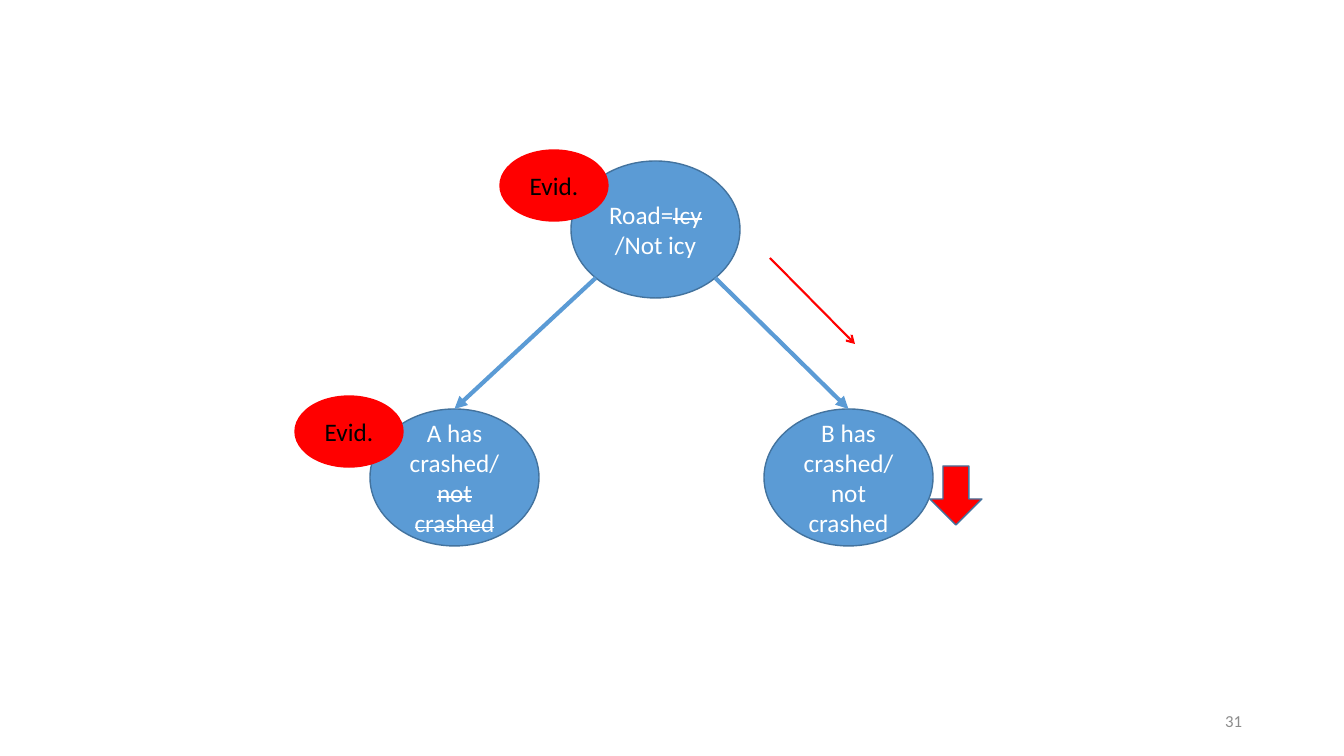
from math import cos, pi

from lxml.etree import SubElement
from pptx import Presentation
from pptx.dml.color import RGBColor
from pptx.enum.shapes import MSO_CONNECTOR, MSO_SHAPE
from pptx.enum.text import MSO_ANCHOR, PP_ALIGN
from pptx.oxml.ns import qn
from pptx.util import Pt

BLUE = RGBColor(0x5B, 0x9B, 0xD5)
DARK_BLUE = RGBColor(0x43, 0x73, 0x9E)
RED = RGBColor(0xFF, 0x00, 0x00)
WHITE = RGBColor(0xFF, 0xFF, 0xFF)
BLACK = RGBColor(0x00, 0x00, 0x00)
GRAY = RGBColor(0x8C, 0x8C, 0x8C)

# Lengths in px; text runs are (text, struck through)
SLIDE_SIZE = (1344, 756)
NODE_SIZE = (169, 137)
EVIDENCE_SIZE = (108, 71)
NODES = {
    "road": ((571, 161), [("Road=", False), ("Icy", True), ("/Not icy", False)]),
    "car A": ((370, 409), [("A has crashed/", False), ("not crashed", True)]),
    "car B": ((764, 409), [("B has crashed/not crashed", False)]),
}
EDGES = [("road", "car A"), ("road", "car B")]
EVIDENCE = [(295, 396), (500, 150)]
INFLUENCE = ((770, 258), (855, 344))
DECREASE_BOX = (930, 466, 52, 59)
NUMBER_BOX = (950, 701, 302, 40)
SLIDE_NUMBER = "31"

EMU_PER_PX = 914400 / 100.8


def px(*lengths):
    return [round(length * EMU_PER_PX) for length in lengths]


def write_text(shape, runs, size=18, color=WHITE, align=PP_ALIGN.CENTER):
    frame = shape.text_frame
    frame.word_wrap = True
    frame.vertical_anchor = MSO_ANCHOR.MIDDLE
    paragraph = frame.paragraphs[0]
    paragraph.alignment = align
    for text, struck in runs:
        run = paragraph.add_run()
        run.text = text
        run.font.name = "Calibri"
        run.font.size = Pt(size)
        run.font.color.rgb = color
        if struck:
            run._r.get_or_add_rPr().set("strike", "sngStrike")


def add_filled(slide, kind, box, fill, outline):
    shape = slide.shapes.add_shape(kind, *px(*box))
    shape.shadow.inherit = False
    shape.fill.solid()
    shape.fill.fore_color.rgb = fill
    shape.line.color.rgb = outline
    shape.line.width = Pt(1)
    return shape


def add_arrow(slide, start, end, color, width, head):
    arrow = slide.shapes.add_connector(MSO_CONNECTOR.STRAIGHT, *px(*start, *end))
    arrow.line.color.rgb = color
    arrow.line.width = Pt(width)
    SubElement(arrow.line._get_or_add_ln(), qn("a:tailEnd"), type=head)
    SubElement(arrow._element.spPr, qn("a:effectLst"))
    return arrow


def lower_rim_point(corner, side):
    """Point on a node's rim at 45 degrees below; side is -1 left, 1 right."""
    width, height = NODE_SIZE
    reach = cos(pi / 4)
    return (corner[0] + width / 2 * (1 + side * reach),
            corner[1] + height / 2 * (1 + reach))


def main():
    presentation = Presentation()
    presentation.slide_width, presentation.slide_height = px(*SLIDE_SIZE)
    slide = presentation.slides.add_slide(presentation.slide_layouts[6])

    number = slide.shapes.add_textbox(*px(*NUMBER_BOX))
    write_text(number, [(SLIDE_NUMBER, False)], size=12, color=GRAY, align=PP_ALIGN.RIGHT)

    ellipses = {}
    for name, (corner, runs) in NODES.items():
        ellipses[name] = add_filled(slide, MSO_SHAPE.OVAL, corner + NODE_SIZE, BLUE, DARK_BLUE)
        write_text(ellipses[name], runs)

    for parent, child in EDGES:
        parent_corner, child_corner = NODES[parent][0], NODES[child][0]
        side = 1 if child_corner[0] > parent_corner[0] else -1
        child_top = (child_corner[0] + NODE_SIZE[0] / 2, child_corner[1])
        edge = add_arrow(slide, lower_rim_point(parent_corner, side), child_top,
                         BLUE, 3, "triangle")
        edge.end_connect(ellipses[child], 0)

    for corner in EVIDENCE:
        marker = add_filled(slide, MSO_SHAPE.OVAL, corner + EVIDENCE_SIZE, RED, RED)
        write_text(marker, [("Evid.", False)], color=BLACK)

    add_arrow(slide, *INFLUENCE, RED, 1.5, "arrow")
    add_filled(slide, MSO_SHAPE.DOWN_ARROW, DECREASE_BOX, RED, DARK_BLUE)

    presentation.save("out.pptx")


if __name__ == "__main__":
    main()
